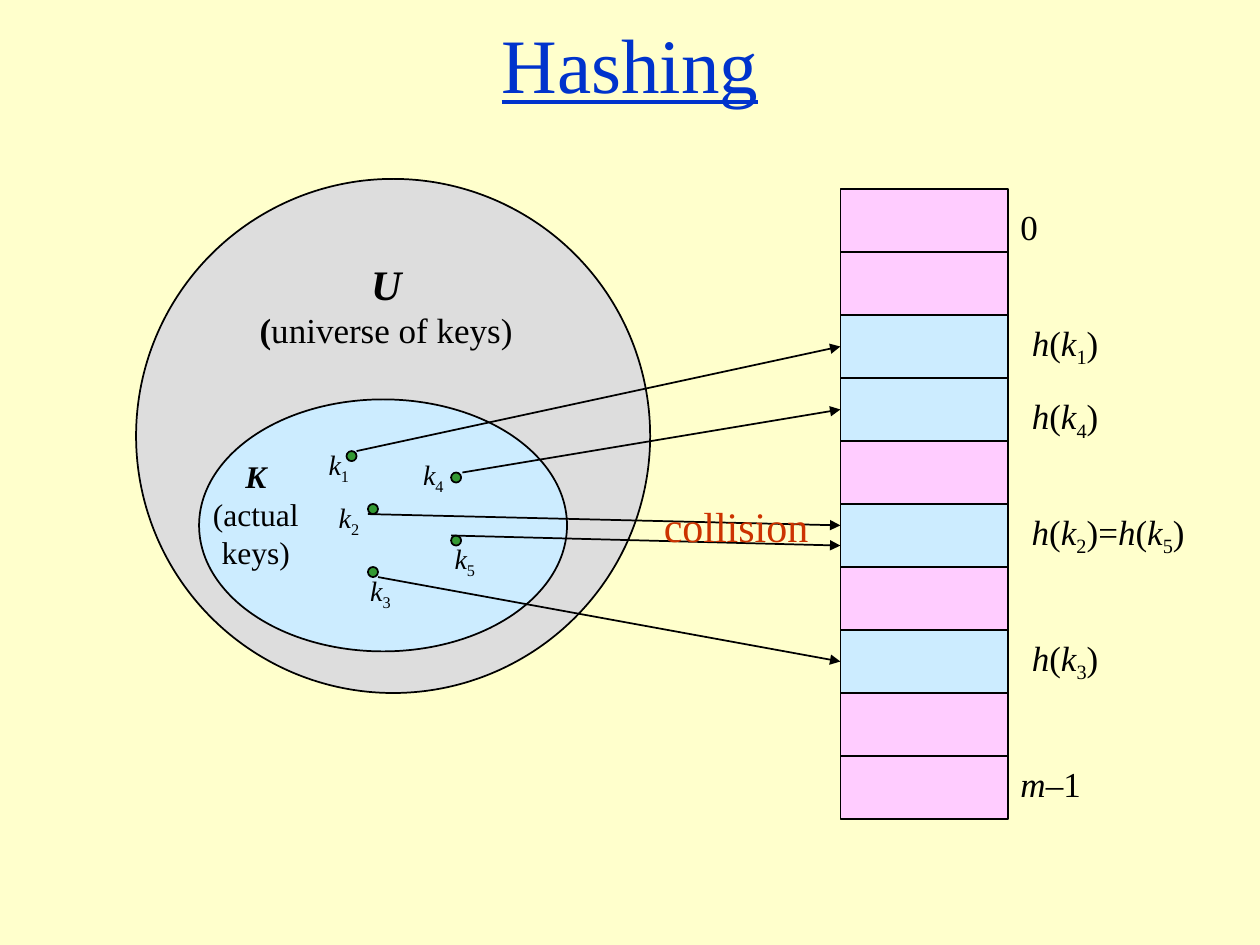
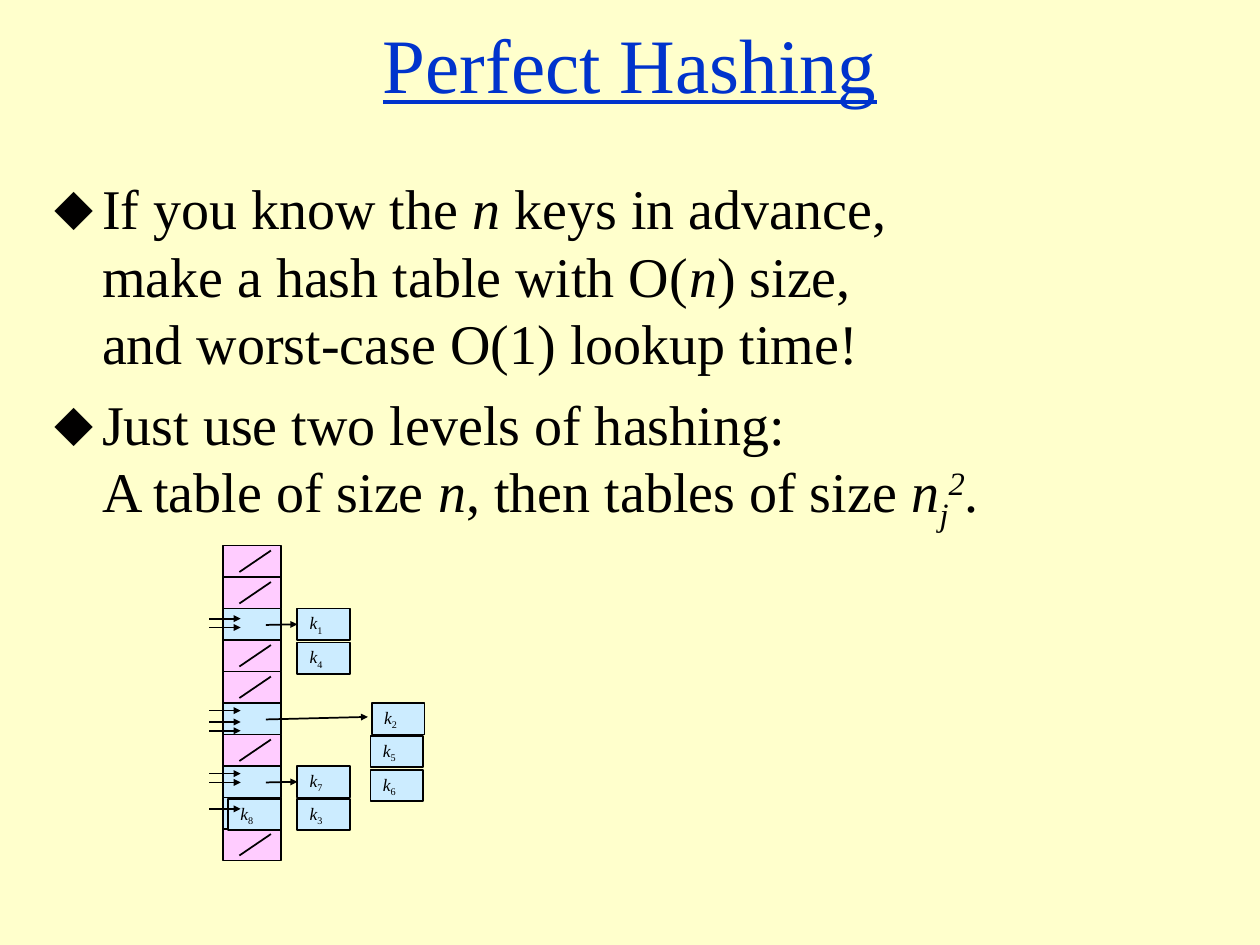
from lxml import etree
from pptx import Presentation
from pptx import util as u
from pptx.dml.color import RGBColor
from pptx.enum import shapes, text
from pptx.oxml import ns

FONT = "Times New Roman"
BLACK, CREAM, BLUE, RED = "000000", "FFFFCC", "0033CC", "CC3300"
PINK, SKY, GRAY, GREEN, INK = "FFCCFF", "CCECFF", "DDDDDD", "339933", "010000"
RECT, OVAL = shapes.MSO_SHAPE.RECTANGLE, shapes.MSO_SHAPE.OVAL
ROWS = 10
MARKS = {
    "/": ({"italic": True}, 0),
    "!": ({"italic": True, "bold": True}, 0),
    "*": ({"bold": True}, 0),
    "_": ({}, -25000),
    "~": ({"italic": True}, -25000),
    "^": ({"italic": True}, 30000),
}
FRAME = {
    "margin_left": u.Inches(0.1), "margin_right": u.Inches(0.1),
    "margin_top": u.Inches(0.05), "margin_bottom": u.Inches(0.05),
}


def put(item, vals):
    """Set each attribute of an object from a dict."""
    for name, val in vals.items():
        setattr(item, name, val)


def tint(part, color):
    """Give a fill or a font colour a hex value."""
    if hasattr(part, "solid"):
        part.solid()
        part = part.fore_color
    part.rgb = RGBColor.from_string(color)


def place(item, box):
    """Move a placeholder to a box in inches."""
    put(item, dict(zip(("left", "top", "width", "height"), map(u.Inches, box))))


def tag(node, name, **vals):
    """Append a drawing element with attributes."""
    return etree.SubElement(node, ns.qn("a:" + name), vals)


def write(para, code, size, color=BLACK, **more):
    """Write runs split by bars, each with an optional leading mark."""
    for piece in code.split("|"):
        vals, base = MARKS.get(piece[0], ({}, 0))
        words = piece[1:] if piece[0] in MARKS else piece
        for num, line in enumerate(words.split("\n")):
            if num:
                para.add_line_break()
            run = para.add_run()
            run.text = line
            put(run.font, {"name": FONT, "size": u.Pt(size), **vals, **more})
            tint(run.font.color, color)
            if base:
                run.font._element.set("baseline", str(base))


def note(slide, box, lines, color=BLACK, align="LEFT", wrap=False):
    """Add a text box from pairs of size and marked text."""
    frame = slide.shapes.add_textbox(*map(u.Inches, box)).text_frame
    put(frame, {**FRAME, "word_wrap": wrap,
                "auto_size": text.MSO_AUTO_SIZE.SHAPE_TO_FIT_TEXT})
    for num, (size, code) in enumerate(lines):
        para = frame.add_paragraph() if num else frame.paragraphs[0]
        para.alignment = text.PP_ALIGN[align]
        write(para, code, size, color)


def form(slide, kind, box, color):
    """Add a filled shape with a thin black outline."""
    shape = slide.shapes.add_shape(kind, *map(u.Inches, box))
    shape.shadow.inherit = False
    tint(shape.fill, color)
    tint(shape.line.color, BLACK)
    shape.line.width = u.Pt(1)
    return shape


def link(slide, start, end, goal=None, tip="med"):
    """Draw a line with a sized tip, joined to a goal's left side if given."""
    line = slide.shapes.add_connector(
        shapes.MSO_CONNECTOR.STRAIGHT, *map(u.Inches, (*start, *end)))
    if goal is not None:
        line.end_connect(goal, 1)
    tint(line.line.color, BLACK)
    line.line.width = u.Pt(1)
    if tip:
        tag(line.line._get_or_add_ln(), "tailEnd", type="triangle", w=tip, len=tip)
    tag(line._element.spPr, "effectLst")


def bins(slide, box, hits):
    """Stack the slots of a hash table and return them."""
    left, top, width, height = box
    step = height / ROWS
    return [form(slide, RECT, (left, top + row * step, width, step),
                 SKY if row in hits else PINK) for row in range(ROWS)]


def head(deck, layout, words):
    """Start a slide with its title."""
    slide = deck.slides.add_slide(deck.slide_layouts[layout])
    title = slide.shapes.title
    place(title, (0, 0, 10, 1))
    put(title.text_frame, {**FRAME, "auto_size": text.MSO_AUTO_SIZE.NONE,
                           "vertical_anchor": text.MSO_ANCHOR.MIDDLE})
    para = title.text_frame.paragraphs[0]
    para.alignment = text.PP_ALIGN.CENTER
    write(para, words, 44, BLUE, underline=True)
    return slide


def body(slide, box, items):
    """Fill the body placeholder with a bulleted list."""
    hold = slide.placeholders[1]
    place(hold, box)
    frame = hold.text_frame
    put(frame, {**FRAME, "auto_size": text.MSO_AUTO_SIZE.NONE})
    for num, code in enumerate(items):
        para = frame.add_paragraph() if num else frame.paragraphs[0]
        para.space_before = u.Pt(8)
        props = para._p.get_or_add_pPr()
        props.set("marL", str(u.Inches(0.38)))
        props.set("indent", str(u.Inches(-0.38)))
        tag(tag(props, "buClr"), "srgbClr", val=INK)
        tag(props, "buChar", char="⬥")
        write(para, code, 32, INK)


def names(slide, box):
    """Label the slots of the hash table."""
    left, top = box[:2]
    for over, down, width, code in (
            (0, 0.08, 0.38, "0"), (0, 4.5, 0.72, "/m|–1"),
            (0.09, 1, 0.78, "/h|(|/k|_1|)"), (0.09, 1.58, 0.78, "/h|(|/k|_4|)"),
            (0.09, 2.5, 1.5, "/h|(|/k|_2|)=|/h|(|/k|_5|)"),
            (0.09, 3.5, 0.78, "/h|(|/k|_3|)")):
        note(slide, (left + over, top + down, width, 0.46), [(20, code)], wrap=True)


def world(slide, box):
    """Draw the universe of keys around the actual keys."""
    left, top = box[:2]
    form(slide, OVAL, box, GRAY)
    form(slide, OVAL, (left + 0.5, top + 1.75, 2.92, 2), SKY)
    note(slide, (left + 0.88, top + 0.58, 2.21, 0.84),
         [(24, "!U"), (20, "*(|universe of keys)")], align="CENTER")
    note(slide, (left + 0.51, top + 2.16, 0.88, 1),
         [(18, "!K"), (18, "(actual"), (18, "keys)")], align="CENTER")


def keys(slide, box, cells, edge):
    """Place the keys and point each at its slot."""
    left, top = box[:2]
    for num, dot, label, start, row, stop in (
            (1, (1.67, 2.16), (-0.24, -0.08), (0.08, 0), 2, None),
            (4, (2.5, 2.33), (-0.32, -0.17), (0.09, 0), 3, None),
            (3, (1.84, 3.08), (-0.08, 0), (0.08, 0.08), 7, None),
            (2, (1.84, 2.58), (-0.33, -0.08), (0, 0.08), 5, 4.17),
            (5, (2.5, 2.83), (-0.07, 0), (0, 0), 5, 4.33)):
        x, y = left + dot[0], top + dot[1]
        form(slide, OVAL, (x, y, 0.08, 0.08), GREEN)
        note(slide, (x + label[0], y + label[1], 0.36, 0.41),
             [(16, f"/k|_{num}")])
        link(slide, (x + start[0], y + start[1]), (edge, stop or y),
             None if stop else cells[row])


def nest(slide, box):
    """Draw the first table with its second level tables."""
    left, top, _, height = box
    hits, step = (2, 5, 7, 8), height / ROWS
    bins(slide, box, hits)
    slots = {}
    for num, over, down in (
            (2, 1.18, 1.25), (1, 0.59, 0.5), (4, 0.59, 0.77), (5, 1.17, 1.51),
            (6, 1.17, 1.78), (7, 0.59, 1.75), (3, 0.59, 2.01), (8, 0.04, 2.01)):
        slot = form(slide, RECT, (left + over, top + down, 0.42, 0.25), SKY)
        put(slot.text_frame, {**FRAME, "word_wrap": False,
                              "vertical_anchor": text.MSO_ANCHOR.MIDDLE})
        para = slot.text_frame.paragraphs[0]
        para.alignment = text.PP_ALIGN.LEFT
        write(para, f"/k|_{num}", 10)
        slots[num] = slot
    for row in set(range(ROWS)) - set(hits):
        y = top + row * step
        link(slide, (left + 0.38, y + 0.04), (left + 0.13, y + 0.21), tip=None)
    for down, over, end, num in (
            (0.63, 0.59, 0.63, 1), (1.38, 1.15, 1.36, None), (1.88, 0.59, 1.88, 7)):
        link(slide, (left + 0.34, top + down), (left + over, top + end),
             slots.get(num), "sm")
    for down in (0.58, 0.65, 1.31, 1.4, 1.47, 1.81, 1.88, 2.09):
        link(slide, (left - 0.11, top + down), (left + 0.14, top + down), tip="sm")


def main():
    """Build both slides and save them."""
    deck = Presentation()
    put(deck, {"slide_width": u.Inches(10), "slide_height": u.Inches(7.5)})
    tint(deck.slide_master.background.fill, CREAM)

    slide = head(deck, 5, "Hashing")
    table, disk = (6.67, 1.5, 1.33, 5), (1.08, 1.42, 4.08, 4.08)
    cells = bins(slide, table, (2, 3, 5, 7))
    names(slide, (8, 1.5))
    world(slide, disk)
    keys(slide, disk, cells, table[0])
    note(slide, (5.17, 3.92, 1.35, 0.5), [(24, "collision")], RED, wrap=True)

    slide = head(deck, 1, "Perfect Hashing")
    body(slide, (0.33, 1.33, 9.25, 5.75), (
        "If you know the |/n| keys in advance,\nmake a hash table with O(|/n"
        "|) size,\nand worst-case O(1) lookup time!",
        "Just use two levels of hashing:\nA table of size |/n"
        "|, then tables of size |/n|~j|^2|."))
    nest(slide, (1.77, 4.33, 0.46, 2.5))
    deck.save("out.pptx")


if __name__ == "__main__":
    main()
